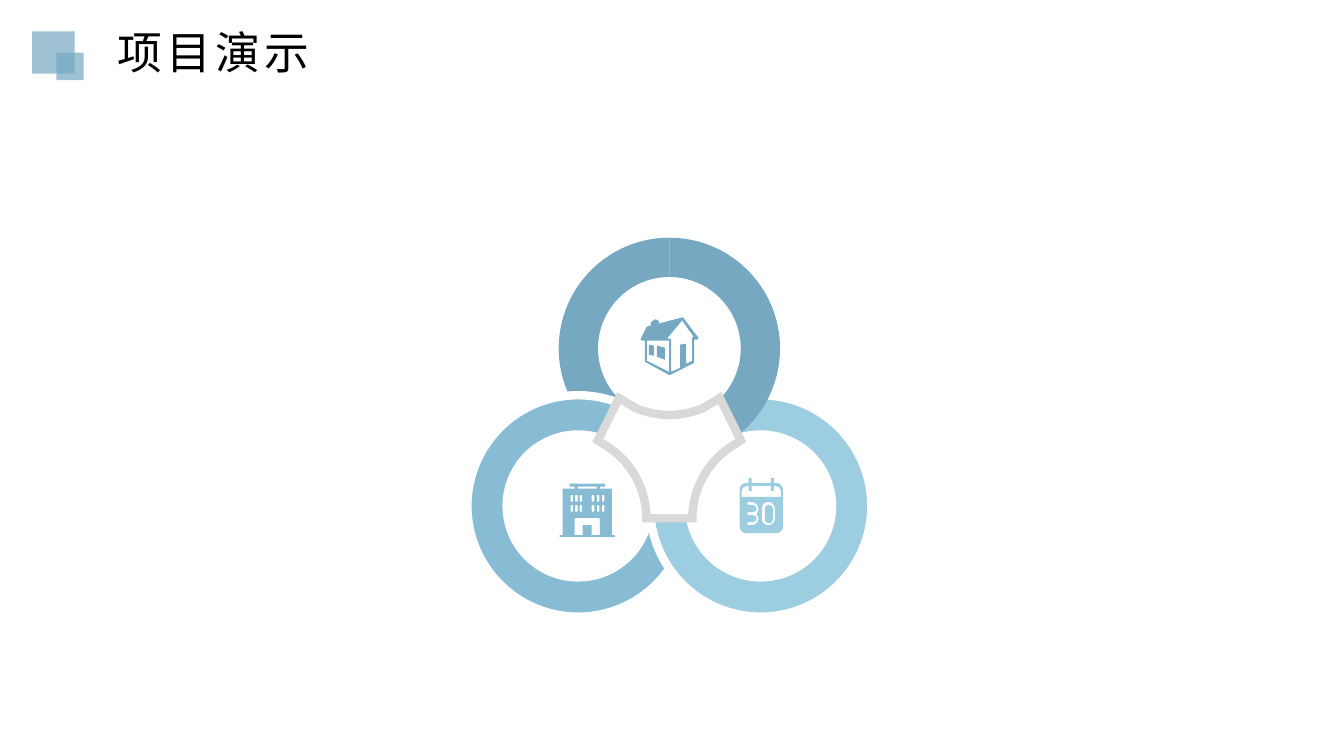
from math import cos, radians, sin

from lxml.etree import SubElement
from pptx import Presentation
from pptx.dml.color import RGBColor
from pptx.enum.shapes import MSO_SHAPE
from pptx.enum.text import MSO_AUTO_SIZE
from pptx.oxml.ns import qn
from pptx.util import Cm, Pt

COLORS = {
    "steel": "76A8C2",
    "sky": "87BCD4",
    "pale": "9CCDE1",
    "white": "FFFFFF",
    "grey": "D9D9D9",
    "black": "000000",
}
ICON_UNIT = 2.54 / 100  # centimetres per icon grid step
OUTER, INNER = 2.79, 1.8  # ring radii


def arc(center, radius, start, end, steps=40):
    """Points on a circle; degrees run clockwise from the right."""
    angles = [radians(start + (end - start) * i / steps) for i in range(steps + 1)]
    return [(center[0] + radius * cos(a), center[1] + radius * sin(a)) for a in angles]


def curve(start, pull, push, end, steps=16):
    """Points on a cubic Bezier curve."""
    points = []
    for i in range(steps + 1):
        t = i / steps
        weights = ((1 - t) ** 3, 3 * t * (1 - t) ** 2, 3 * t * t * (1 - t), t ** 3)
        points.append(tuple(sum(w * p[axis] for w, p in zip(weights, (start, pull, push, end)))
                            for axis in (0, 1)))
    return points


def rounded(left, top, width, height, radius):
    """Outline of a rectangle with round corners."""
    right, bottom = left + width - radius, top + height - radius
    left, top = left + radius, top + radius
    corners = [(left, top), (right, top), (right, bottom), (left, bottom)]
    return [point for i, corner in enumerate(corners)
            for point in arc(corner, radius, 180 + 90 * i, 270 + 90 * i, 8)]


def rectangle(left, top, right, bottom):
    return [(left, top), (right, top), (right, bottom), (left, bottom)]


class SlideBuilder:
    def __init__(self, page, font):
        self.page = page
        self.font = font

    def style(self, shape, fill, line=None, width=6, alpha=None):
        shape.shadow.inherit = False
        shape.fill.solid()
        shape.fill.fore_color.rgb = RGBColor.from_string(COLORS[fill])
        if alpha:
            color = shape.fill._xPr.find(".//" + qn("a:srgbClr"))
            SubElement(color, qn("a:alpha"), val=str(alpha * 1000))
        if line:
            shape.line.color.rgb = RGBColor.from_string(COLORS[line])
            shape.line.width = Pt(width)
            SubElement(shape.line._get_or_add_ln(), qn("a:miter"), lim="800000")
        else:
            shape.line.fill.background()

    def square(self, left, top, side, fill, alpha):
        box = self.page.shapes.add_shape(MSO_SHAPE.RECTANGLE, Cm(left), Cm(top), Cm(side), Cm(side))
        self.style(box, fill, alpha=alpha)

    def ring(self, center, fill, line):
        donut = self.page.shapes.add_shape(
            MSO_SHAPE.DONUT, Cm(center[0] - OUTER), Cm(center[1] - OUTER),
            Cm(2 * OUTER), Cm(2 * OUTER))
        donut.adjustments[0] = (OUTER - INNER) / (2 * OUTER)
        self.style(donut, fill, line)

    def outline(self, contours, fill, line=None):
        contours = [[(Cm(x), Cm(y)) for x, y in contour] for contour in contours]
        builder = self.page.shapes.build_freeform(*contours[0][0])
        for i, contour in enumerate(contours):
            if i:
                builder.move_to(*contour[0])
            builder.add_line_segments(contour[1:], close=True)
        self.style(builder.convert_to_shape(), fill, line)

    def icon(self, left, top, contours, fill):
        self.outline([[(left + x * ICON_UNIT, top + y * ICON_UNIT) for x, y in contour]
                      for contour in contours], fill)

    def text(self, left, top, width, height, words, size, color, spacing):
        box = self.page.shapes.add_textbox(Cm(left), Cm(top), Cm(width), Cm(height))
        frame = box.text_frame
        frame.word_wrap = True
        frame.auto_size = MSO_AUTO_SIZE.SHAPE_TO_FIT_TEXT
        para = frame.paragraphs[0]
        span = para.add_run()
        span.text = words
        span.font.name = self.font
        span.font.size = Pt(size)
        span.font.color.rgb = RGBColor.from_string(COLORS[color])
        span.font._element.set("spc", str(spacing * 100))


HOUSE = [
    [(41, 0), (42, 0), (57, 20), (57, 21), (56, 22), (53, 22), (53, 45), (29, 57), (28, 57),
     (4, 44), (4, 23), (1, 23), (0, 22), (0, 21), (6, 9), (7, 9), (10, 8), (10, 5), (11, 4),
     (14, 2), (15, 2), (17, 3), (18, 4), (18, 6)],
    [(41, 3), (26, 21), (29, 21), (30, 22), (30, 54), (39, 50), (39, 27), (45, 26), (45, 46),
     (51, 43), (51, 20), (52, 19), (53, 20)],
    [(6, 23), (6, 43), (28, 54), (28, 23)],
    [(16, 28), (24, 30), (24, 42), (16, 39)],
    [(8, 27), (13, 28), (13, 38), (8, 37)],
]
OFFICE = [
    [(10, 0), (45, 0), (45, 3), (40, 3), (40, 5), (52, 5), (52, 51), (55, 51), (55, 53),
     (0, 53), (0, 51), (3, 51), (3, 5), (15, 5), (15, 3), (10, 3)],
    rectangle(18, 3, 37, 5),
    [(15, 35), (16, 34), (39, 34), (40, 35), (40, 51), (32, 51), (32, 41), (23, 41),
     (23, 51), (15, 51)],
] + [rounded(x, y, 2.5, 7, 1.2) for y in (11, 21) for x in (11, 15.5, 20, 32, 37, 42)]
CALENDAR = [
    rounded(0, 5, 43, 50, 7),
    [(2, 19), (2, 13), (3.5, 9.5), (7, 8), (36, 8), (39.5, 9.5), (41, 13), (41, 19)],
    # Digit 3
    [(8, 24), (13, 24), (17, 26), (19, 31), (17, 36), (19, 41), (17, 45), (13, 47), (8, 47),
     (8, 44), (13, 44), (15.5, 43), (17, 41), (16, 38), (13, 37), (8, 37), (8, 34), (13, 34),
     (16, 33), (17, 31), (15.5, 28), (13, 27), (8, 27)],
    # Digit 0
    rounded(22, 24, 13, 23, 6.5),
    rounded(25, 27, 8, 18, 4),
] + [rectangle(x, y, x + 3, y + 5) for x in (9, 31) for y in (0, 8)]


def main():
    deck = Presentation()
    deck.slide_width, deck.slide_height = Cm(33.87), Cm(19.05)
    page = deck.slides.add_slide(deck.slide_layouts[6])
    builder = SlideBuilder(page, "Arial Narrow")

    # Heading
    builder.square(0.81, 0.79, 1.07, "steel", 70)
    builder.square(1.42, 1.33, 0.69, "steel", 70)
    builder.text(2.72, 0.51, 12.78, 1.63, "项目演示", 32, "black", 3)

    # Interlocked rings
    middle, spread = 16.87, 2.3
    top = (middle, 8.78)
    builder.outline([arc(top, OUTER, 123, 270) + arc(top, INNER, 270, 131)], "steel")
    builder.ring((middle - spread, 12.75), "sky", "white")
    builder.ring((middle + spread, 12.75), "pale", "white")
    builder.outline([arc(top, OUTER, -90, 90) + arc(top, INNER, 90, -90)], "steel")

    # Hub, mirrored about the middle
    half = (curve((0, 10.46), (0.28, 10.46), (0.59, 10.39), (0.84, 10.29))
            + [(1.19, 10.08), (1.27, 10.03), (1.8, 11.1)]
            + curve((1.52, 11.28), (0.96, 11.66), (0.58, 12.32), (0.58, 13.06)))
    hub = [(middle + x, y) for x, y in half] + [(middle - x, y) for x, y in half[:0:-1]]
    builder.outline([hub], "white", "grey")

    # Icons
    builder.icon(16.15, 8, HOUSE, "steel")
    builder.icon(14.1, 12.19, OFFICE, "sky")
    builder.icon(18.64, 12.04, CALENDAR, "pale")

    deck.save("out.pptx")


if __name__ == "__main__":
    main()
